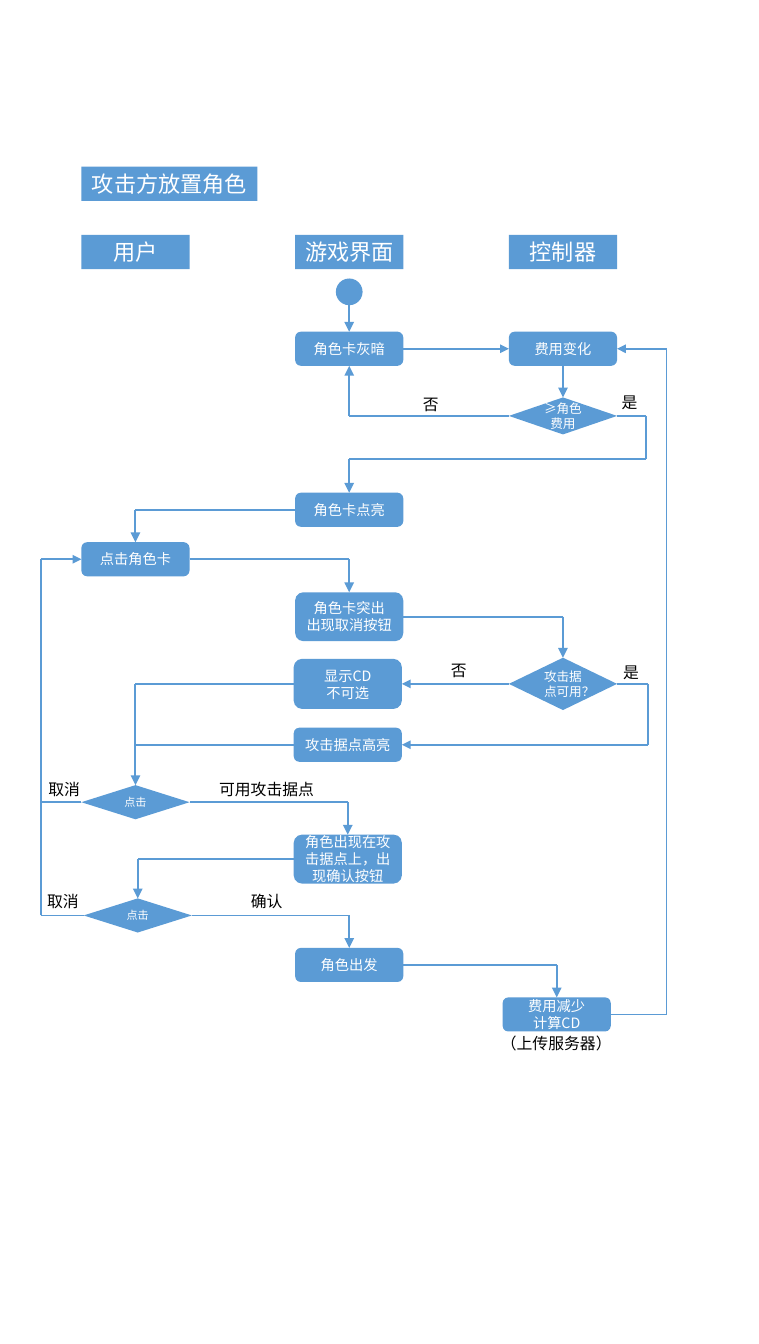
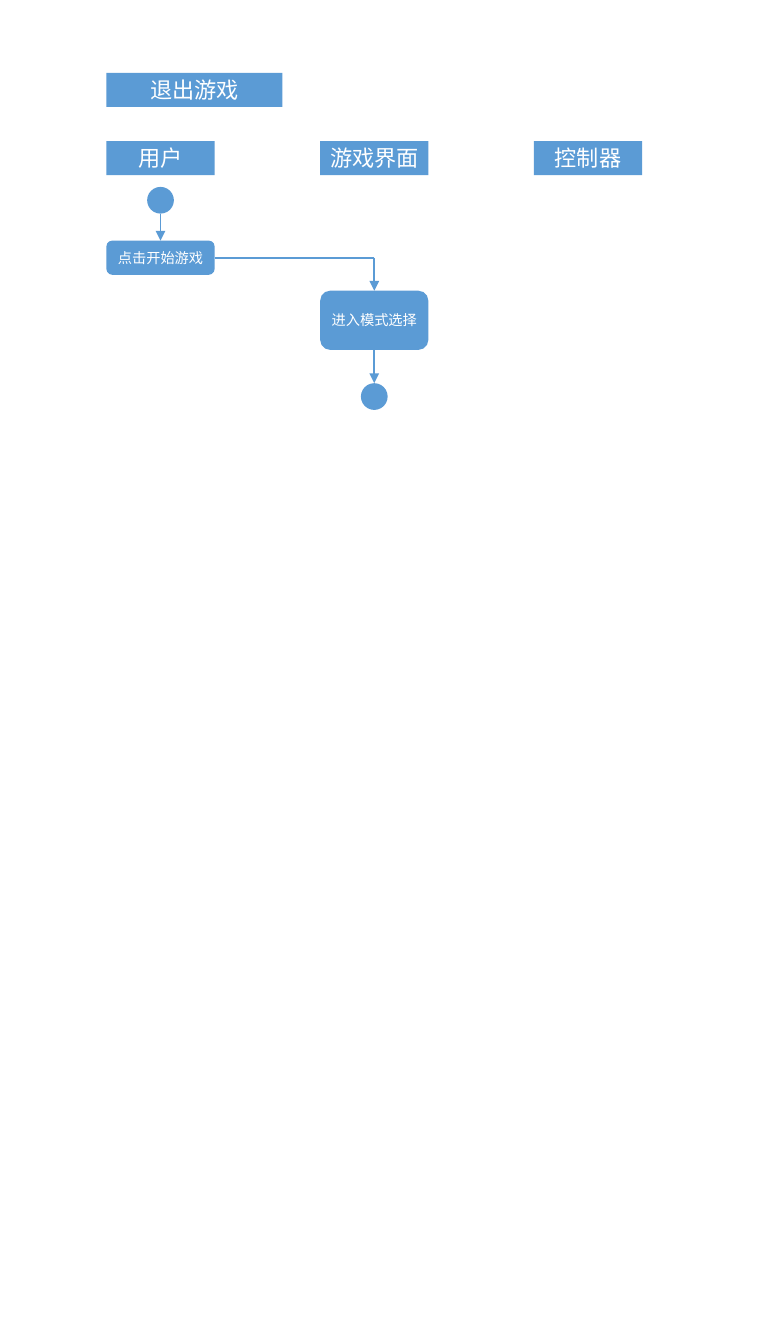
from itertools import groupby, pairwise

from lxml import etree
from pptx import Presentation
from pptx import util as u
from pptx.dml import color as c
from pptx.enum import shapes, text
from pptx.oxml import ns

COLORS = {"blue": "5B9BD5", "white": "FFFFFF", "black": "000000"}
FONT = "Noto Sans CJK SC"
LANES = ("用户", "游戏界面", "控制器")
LANE_PITCH = 7.51 / 2
NODE_WIDTH = 1.9
NODE_HEIGHT = 0.6
DOT_SIZE = 0.47
TOP, LEFT, BOTTOM, RIGHT = range(4)
BOX = shapes.MSO_SHAPE.RECTANGLE
STEP = shapes.MSO_SHAPE.ROUNDED_RECTANGLE
DECISION = shapes.MSO_SHAPE.FLOWCHART_DECISION
DOT = shapes.MSO_SHAPE.OVAL


def rgb(name):
    return c.RGBColor.from_string(COLORS[name])


def write(shape, words, size, color="white", align=text.PP_ALIGN.CENTER):
    frame = shape.text_frame
    frame.text = words
    for paragraph in frame.paragraphs:
        paragraph.alignment = align
        for run in paragraph.runs:
            run.font.size = u.Pt(size)
            run.font.name = FONT
            run.font.color.rgb = rgb(color)
            east_asian = etree.SubElement(run.font._element, ns.qn("a:ea"))
            east_asian.set("typeface", FONT)


def paint(shape):
    shape.fill.solid()
    shape.fill.fore_color.rgb = rgb("blue")
    shape.line.fill.background()


def add_node(slide, kind, center, middle, words="", size=18,
             width=NODE_WIDTH, height=NODE_HEIGHT):
    width, height = u.Inches(width), u.Inches(height)
    node = slide.shapes.add_shape(kind, u.Inches(center) - width // 2,
                                  u.Inches(middle) - height // 2, width, height)
    node.shadow.inherit = False
    paint(node)
    node.text_frame.word_wrap = True
    node.text_frame.vertical_anchor = text.MSO_ANCHOR.MIDDLE
    if words:
        write(node, words, size)
    return node


def add_dot(slide, center, middle):
    return add_node(slide, DOT, center, middle, width=DOT_SIZE, height=DOT_SIZE)


def add_label(slide, words, left, top):
    label = slide.shapes.add_textbox(u.Inches(left), u.Inches(top),
                                     u.Inches(0.2 + 0.28 * len(words)), u.Inches(0.44))
    label.text_frame.word_wrap = False
    write(label, words, 20, "black", text.PP_ALIGN.LEFT)


def side_point(shape, side):
    center = shape.left + shape.width // 2
    middle = shape.top + shape.height // 2
    return {TOP: (center, shape.top),
            LEFT: (shape.left, middle),
            BOTTOM: (center, shape.top + shape.height),
            RIGHT: (shape.left + shape.width, middle)}[side]


def add_segment(slide, start, end, arrow=False):
    segment = slide.shapes.add_connector(shapes.MSO_CONNECTOR.STRAIGHT, *start, *end)
    segment.line.color.rgb = rgb("blue")
    segment.line.width = u.Pt(2.5 if arrow and start[0] == end[0] else 2.25)
    if arrow:
        head = etree.SubElement(segment.line._get_or_add_ln(), ns.qn("a:tailEnd"))
        for key, value in (("type", "triangle"), ("w", "lg"), ("len", "lg")):
            head.set(key, value)
    etree.SubElement(segment._element.spPr, ns.qn("a:effectLst"))
    return segment


def add_route(slide, source, source_side, target, target_side, turns=()):
    start, end = side_point(source, source_side), side_point(target, target_side)
    points = [start]
    for index, turn in enumerate(turns):
        x, y = points[-1]
        points.append((x, u.Inches(turn)) if index % 2 else (u.Inches(turn), y))
    points += [(end[0], points[-1][1]), end]
    legs = list(pairwise(point for point, _ in groupby(points)))
    segments = [add_segment(slide, *leg, arrow=leg == legs[-1]) for leg in legs]
    segments[0].begin_connect(source, source_side)
    segments[-1].end_connect(target, target_side)


def add_branch(slide, source, x):
    start = side_point(source, LEFT)
    add_segment(slide, start, (u.Inches(x), start[1])).begin_connect(source, LEFT)


def add_flow_slide(deck, title, left, top):
    slide = deck.slides.add_slide(deck.slide_layouts[5])
    banner = slide.shapes.title
    banner.left, banner.top = u.Inches(left), u.Inches(top)
    banner.width, banner.height = u.Inches(3.09), u.Inches(NODE_HEIGHT)
    paint(banner)
    banner.text_frame.auto_size = text.MSO_AUTO_SIZE.NONE
    banner.text_frame.vertical_anchor = text.MSO_ANCHOR.MIDDLE
    write(banner, title, 28)
    centers = [left + NODE_WIDTH / 2 + LANE_PITCH * i for i in range(len(LANES))]
    for lane, center in zip(LANES, centers):
        add_node(slide, BOX, center, top + 1.5, lane, 28)
    return slide, centers


def build_placement(deck):
    slide, (user, screen, control) = add_flow_slide(deck, "攻击方放置角色", 1.43, 2.93)
    start = add_dot(slide, screen, 5.13)
    dimmed = add_node(slide, STEP, screen, 6.13, "角色卡灰暗")
    cost = add_node(slide, STEP, control, 6.13, "费用变化")
    enough = add_node(slide, DECISION, control, 7.31, "≥角色费用", 16, height=0.65)
    lit = add_node(slide, STEP, screen, 8.96, "角色卡点亮")
    pick = add_node(slide, STEP, user, 9.83, "点击角色卡")
    raised = add_node(slide, STEP, screen, 10.84, "角色卡突出\n出现取消按钮", height=0.86)
    usable = add_node(slide, DECISION, control, 12.02, "攻击据点可用？", 16, height=0.92)
    cooling = add_node(slide, STEP, 6.11, 12.02, "显示CD\n不可选", height=0.88)
    bright = add_node(slide, STEP, 6.11, 13.09, "攻击据点高亮")
    choose = add_node(slide, DECISION, user, 14.1, "点击", 14)
    placed = add_node(slide, STEP, 6.11, 15.1, "角色出现在攻击据点上，出现确认按钮", height=0.86)
    confirm = add_node(slide, DECISION, 2.42, 16.09, "点击", 14)
    depart = add_node(slide, STEP, screen, 16.96, "角色出发")
    settle = add_node(slide, STEP, 9.78, 17.83, "费用减少\n计算CD")

    for route in (
        (start, BOTTOM, dimmed, TOP),
        (dimmed, RIGHT, cost, LEFT),
        (cost, BOTTOM, enough, TOP),
        (enough, LEFT, dimmed, BOTTOM),
        (enough, RIGHT, lit, TOP, (11.35, 8.07)),
        (lit, LEFT, pick, TOP),
        (pick, RIGHT, raised, TOP),
        (raised, RIGHT, usable, TOP),
        (usable, LEFT, cooling, RIGHT),
        (usable, RIGHT, bright, RIGHT, (11.38, 13.09)),
        (cooling, LEFT, choose, TOP),
        (choose, RIGHT, placed, TOP),
        (placed, LEFT, confirm, TOP),
        (confirm, RIGHT, depart, TOP),
        (confirm, LEFT, pick, LEFT, (0.72, 9.83)),
        (depart, RIGHT, settle, TOP),
        (settle, RIGHT, cost, RIGHT, (11.71, 6.13)),
    ):
        add_route(slide, *route)
    add_branch(slide, bright, user)
    add_branch(slide, choose, 0.72)

    for label in (
        ("否", 7.33, 6.88),
        ("是", 10.82, 6.86),
        ("否", 7.82, 11.57),
        ("是", 10.85, 11.59),
        ("可用攻击据点", 3.75, 13.66),
        ("取消", 0.75, 13.66),
        ("取消", 0.73, 15.63),
        ("确认", 4.31, 15.63),
        ("（上传服务器）", 8.7, 18.12),
    ):
        add_label(slide, *label)


def build_exit(deck):
    slide, (user, screen, _) = add_flow_slide(deck, "退出游戏", 1.87, 1.28)
    start = add_dot(slide, user, 3.52)
    begin = add_node(slide, STEP, user, 4.53, "点击开始游戏")
    mode = add_node(slide, STEP, screen, 5.63, "进入模式选择", height=1.04)
    finish = add_dot(slide, screen, 6.97)
    add_route(slide, start, BOTTOM, begin, TOP)
    add_route(slide, begin, RIGHT, mode, TOP)
    add_route(slide, mode, BOTTOM, finish, TOP)


def main():
    deck = Presentation()
    deck.slide_width, deck.slide_height = u.Inches(40 / 3), u.Cm(60)
    build_placement(deck)
    build_exit(deck)
    deck.save("out.pptx")


if __name__ == "__main__":
    main()
